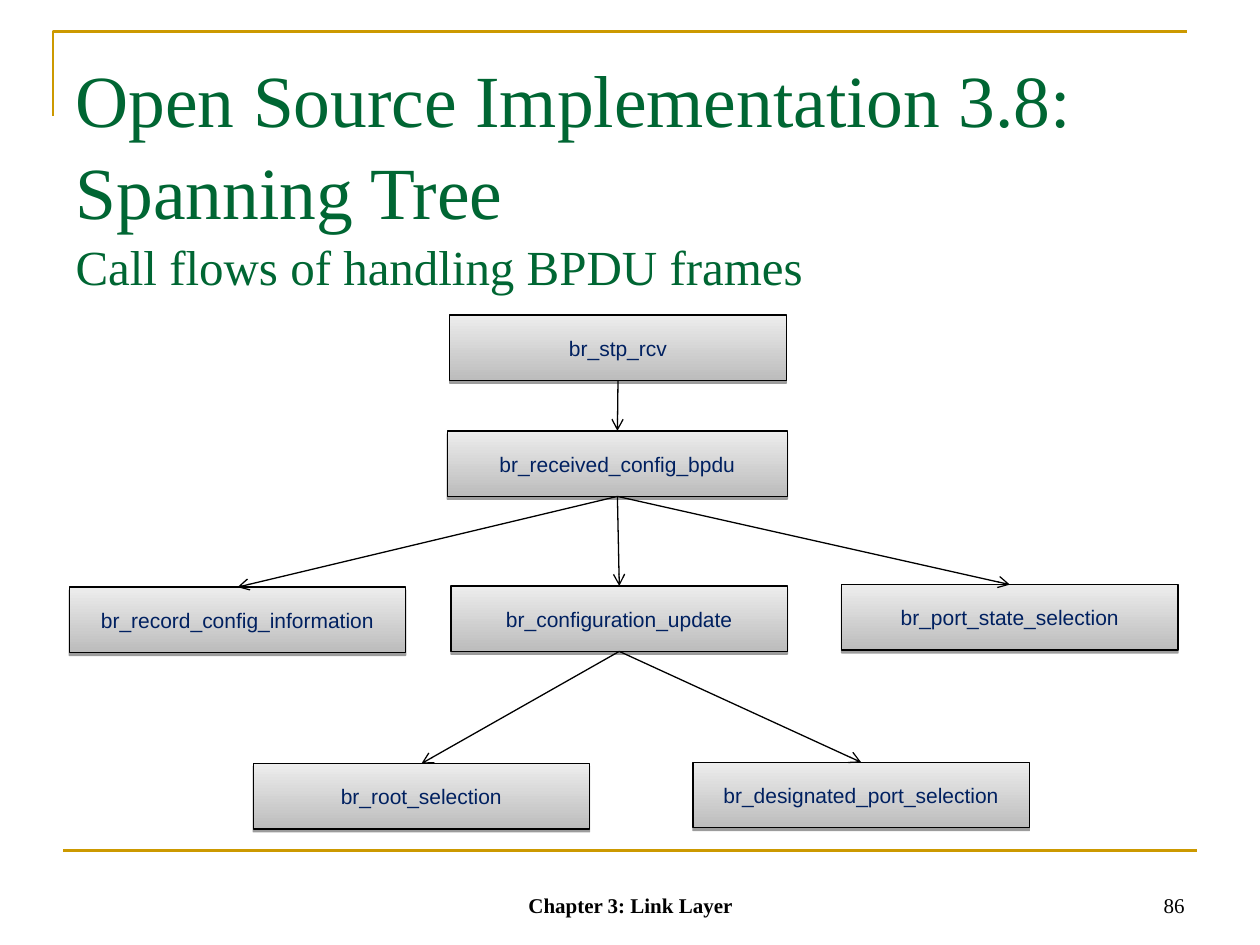
"""Build a slide showing the call flow of BPDU frame handling as a tree."""

from lxml.etree import SubElement
from pptx import Presentation
from pptx.dml.color import RGBColor
from pptx.enum.shapes import MSO_CONNECTOR, MSO_SHAPE
from pptx.enum.text import MSO_ANCHOR, MSO_AUTO_SIZE, PP_ALIGN
from pptx.oxml.ns import qn
from pptx.util import Inches, Pt

TITLE = [
    ("Open Source Implementation 3.8: Spanning Tree", "title"),
    ("Call flows of handling BPDU frames", "subtitle"),
]
BOX_WIDTH, BOX_HEIGHT = 2.67, 0.52
FUNCTIONS = {
    "br_stp_rcv": (3.57, 2.5, BOX_WIDTH),
    "br_received_config_bpdu": (3.55, 3.42, 2.7),
    "br_record_config_information": (0.55, 4.66, BOX_WIDTH),
    "br_configuration_update": (3.58, 4.65, BOX_WIDTH),
    "br_port_state_selection": (6.68, 4.64, BOX_WIDTH),
    "br_root_selection": (2.01, 6.06, BOX_WIDTH),
    "br_designated_port_selection": (5.5, 6.05, BOX_WIDTH),
}
CALLS = {
    "br_stp_rcv": ["br_received_config_bpdu"],
    "br_received_config_bpdu": [
        "br_configuration_update",
        "br_record_config_information",
        "br_port_state_selection",
    ],
    "br_configuration_update": ["br_root_selection", "br_designated_port_selection"],
}
FOOTERS = [
    ("86", (7.17, 6.83, 2.33, 0.5), PP_ALIGN.RIGHT, "number"),
    ("Chapter 3: Link Layer", (3.42, 6.83, 3.17, 0.5), PP_ALIGN.CENTER, "chapter"),
]
CORNER = [(0.42, 0.92), (0.42, 0.25), (9.42, 0.25)]
FOOT_RULE = [(0.5, 6.75), (9.5, 6.75)]

SERIF = "Times New Roman"
THEME = {
    "rule": ("CC9900", 1.5),
    "outline": ("000000", 0.75),
    "gradient": ("BCBCBC", "EDEDED"),
    "shadow": "000000",
    "fonts": {
        "title": {"name": SERIF, "size": Pt(42), "color": "006633", "bold": False},
        "subtitle": {"name": SERIF, "size": Pt(28), "color": "006633", "bold": False},
        "box": {"name": "Arial", "size": Pt(12), "color": "002060", "bold": False},
        "number": {"name": SERIF, "size": Pt(12), "color": "000000", "bold": False},
        "chapter": {"name": SERIF, "size": Pt(12), "color": "000000", "bold": True},
    },
}


def place(shape, box):
    for name, value in zip(("left", "top", "width", "height"), box):
        setattr(shape, name, Inches(value))


def write(shape, lines, alignment, anchor, spacing=1.0):
    frame = shape.text_frame
    settings = {"word_wrap": True, "auto_size": MSO_AUTO_SIZE.NONE, "vertical_anchor": anchor}
    for name, value in settings.items():
        setattr(frame, name, value)
    for index, (text, role) in enumerate(lines):
        paragraph = frame.add_paragraph() if index else frame.paragraphs[0]
        paragraph.alignment = alignment
        paragraph.line_spacing = spacing
        run = paragraph.add_run()
        run.text = text
        for name, value in THEME["fonts"][role].items():
            if name == "color":
                run.font.color.rgb = RGBColor.from_string(value)
            else:
                setattr(run.font, name, value)


def set_line(shape, style):
    color, width = THEME[style]
    shape.line.color.rgb = RGBColor.from_string(color)
    shape.line.width = Pt(width)


def add_line(slide, start, end, style):
    points = [Inches(value) for value in (*start, *end)]
    connector = slide.shapes.add_connector(MSO_CONNECTOR.STRAIGHT, *points)
    set_line(connector, style)
    SubElement(connector._element.spPr, qn("a:effectLst"))
    return connector


def add_title(slide):
    title = slide.shapes.title
    place(title, (0.5, 0.3, 9, 1.25))
    write(title, TITLE, PP_ALIGN.LEFT, MSO_ANCHOR.TOP, 1.04)
    title.text_frame.margin_top = Inches(0.1)


def add_frame(slide):
    start, *rest = [(Inches(x), Inches(y)) for x, y in CORNER]
    builder = slide.shapes.build_freeform(*start)
    builder.add_line_segments(rest, close=False)
    corner = builder.convert_to_shape()
    corner.fill.background()
    corner.shadow.inherit = False
    set_line(corner, "rule")
    add_line(slide, *FOOT_RULE, "rule")


def add_function(slide, name, left, top, width):
    box = slide.shapes.add_shape(MSO_SHAPE.RECTANGLE, 0, 0, 0, 0)
    place(box, (left, top, width, BOX_HEIGHT))
    box.fill.gradient()
    box.fill.gradient_angle = 90
    for stop, color in zip(box.fill.gradient_stops, THEME["gradient"]):
        stop.color.rgb = RGBColor.from_string(color)
    set_line(box, "outline")
    box.shadow.inherit = False
    effects = box._element.spPr.find(qn("a:effectLst"))
    shadow = SubElement(effects, qn("a:outerShdw"), blurRad="0", dist=str(Pt(1.6)),
                        dir="5400000", rotWithShape="0")
    color = SubElement(shadow, qn("a:srgbClr"), val=THEME["shadow"])
    SubElement(color, qn("a:alpha"), val="38000")
    write(box, [(name, "box")], PP_ALIGN.CENTER, MSO_ANCHOR.MIDDLE)
    return box


def add_call(slide, caller, callee):
    arrow = add_line(slide, (0, 0), (0, 0), "outline")
    arrow.begin_connect(caller, 2)
    arrow.end_connect(callee, 0)
    SubElement(arrow.line._get_or_add_ln(), qn("a:tailEnd"), type="arrow")


def main():
    presentation = Presentation()
    presentation.slide_width, presentation.slide_height = Inches(10), Inches(7.5)
    slide = presentation.slides.add_slide(presentation.slide_layouts[5])
    add_frame(slide)
    add_title(slide)
    boxes = {name: add_function(slide, name, *spot) for name, spot in FUNCTIONS.items()}
    for caller, callees in CALLS.items():
        for callee in callees:
            add_call(slide, boxes[caller], boxes[callee])
    for text, spot, alignment, role in FOOTERS:
        footer = slide.shapes.add_textbox(0, 0, 0, 0)
        place(footer, spot)
        write(footer, [(text, role)], alignment, MSO_ANCHOR.BOTTOM)
    presentation.save("out.pptx")


if __name__ == "__main__":
    main()
